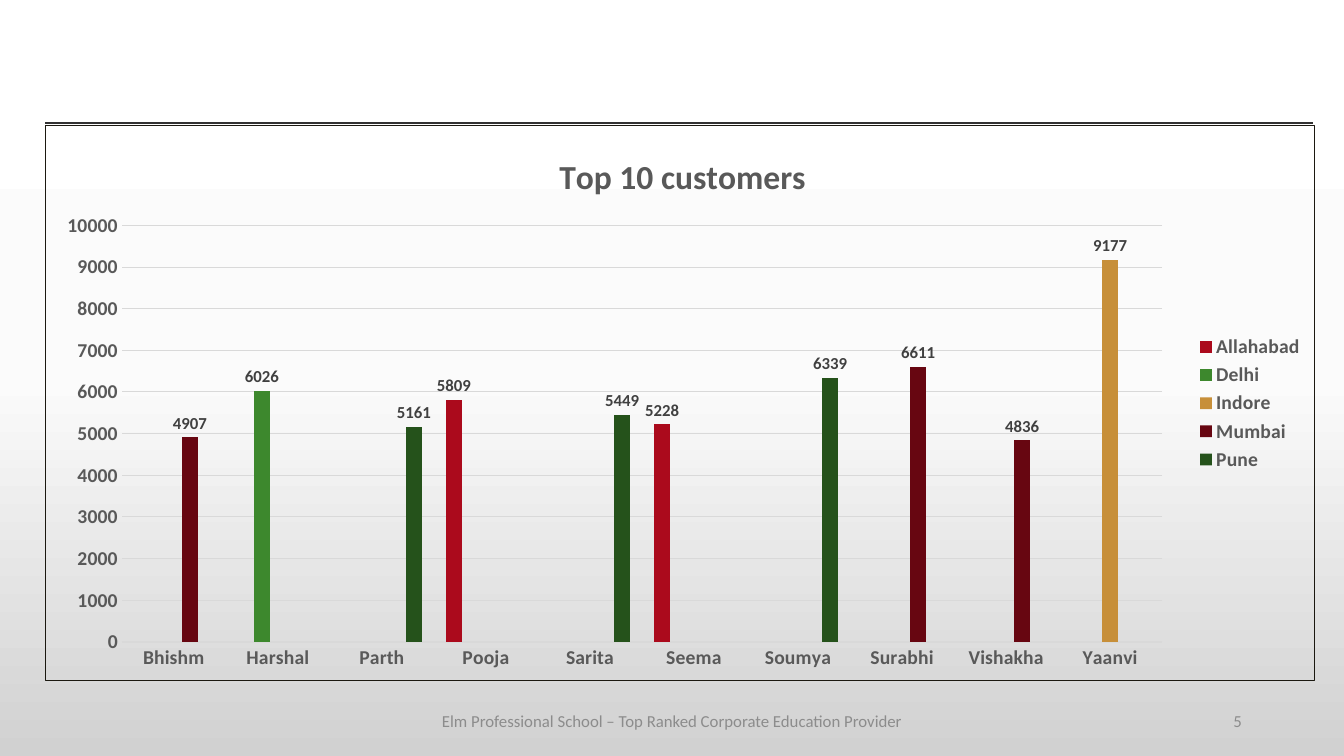
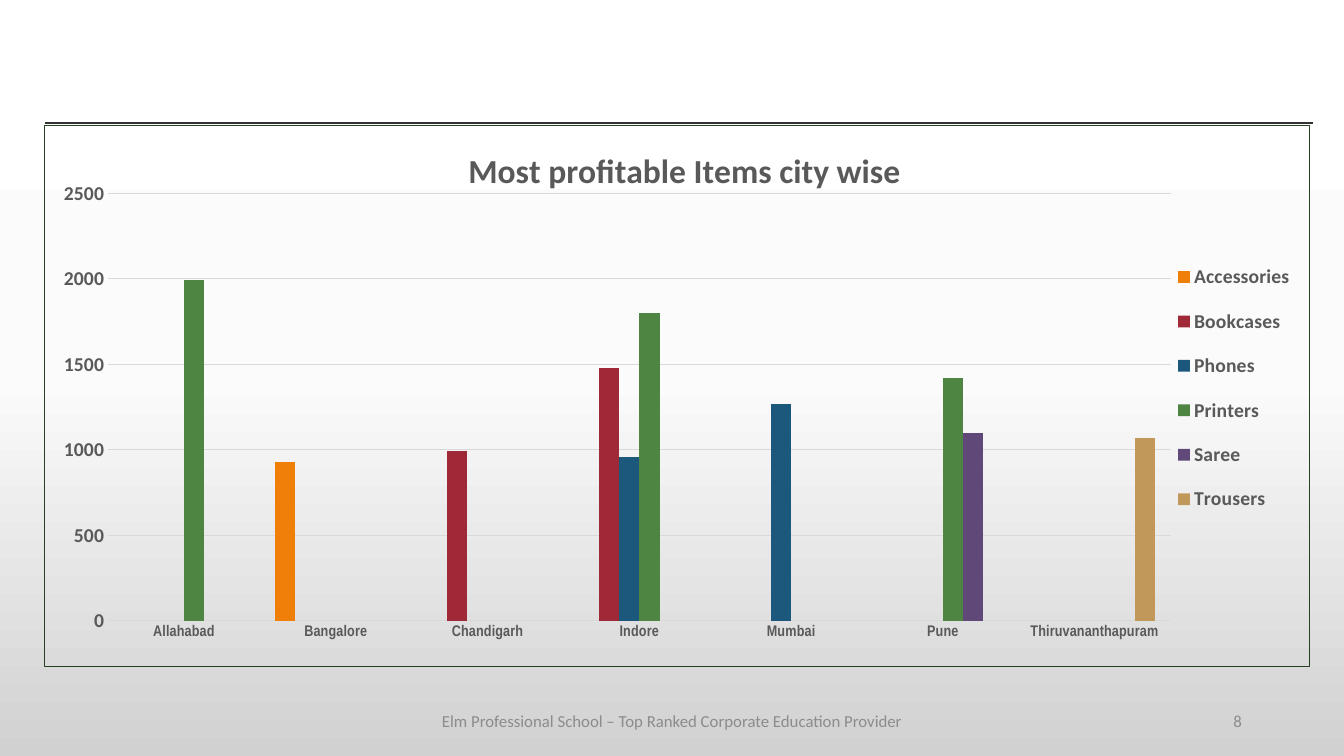
from copy import deepcopy

from lxml import etree
from pptx import Presentation
from pptx.chart.data import CategoryChartData as ChartData
from pptx.dml.color import RGBColor
from pptx.enum.chart import XL_CHART_TYPE as ChartType
from pptx.enum.chart import XL_LABEL_POSITION as LabelPos
from pptx.enum.chart import XL_LEGEND_POSITION as LegendPos
from pptx.enum.chart import XL_TICK_MARK as Tick
from pptx.enum.shapes import MSO_CONNECTOR as Connector
from pptx.enum.text import MSO_ANCHOR as Anchor
from pptx.enum.text import PP_ALIGN as Align
from pptx.oxml import parse_xml
from pptx.oxml.ns import nsdecls, qn
from pptx.util import Cm, Pt

# Shared style
BACKDROP = [(0, "FFFFFF"), (0.5, "FBFBFB"), (1, "D1D1D1")]
RULE, GRID = "323232", "D9D9D9"
FOOTER = "Elm Professional School – Top Ranked Corporate Education Provider"
FOOTER_FONT = {"name": "Calibri", "size": Pt(12), "color": "8C8C8C"}
BASE_FONT = {"name": "Calibri", "size": Pt(10), "color": "000000"}
AXIS_FONT = {"name": "Calibri", "size": Pt(14), "bold": True, "color": "595959"}
TITLE_FONT = {**AXIS_FONT, "size": Pt(24)}
LABEL_FONT = {**AXIS_FONT, "size": Pt(12), "color": "404040"}

# Content: each series is name, colour and values by category
CUSTOMERS = {
    "number": "5",
    "title": "Top 10 customers",
    "place": (1.14, 3.15, 32, 14.02),
    "border": "1B1810",
    "scale": (10000, 1000),
    "labels": True,
    "category_line": True,
    "category_font": AXIS_FONT,
    "title_layout": (0.4, 0.04),
    "plot_layout": (0.06, 0.18, 0.82, 0.75),
    "legend_layout": None,
    "categories": ["Bhishm", "Harshal", "Parth", "Pooja", "Sarita", "Seema",
                   "Soumya", "Surabhi", "Vishakha", "Yaanvi"],
    "series": [
        ("Allahabad", "AB0A1C", {"Pooja": 5809, "Seema": 5228}),
        ("Delhi", "3D882D", {"Harshal": 6026}),
        ("Indore", "C78F39", {"Yaanvi": 9177}),
        ("Mumbai", "670611", {"Bhishm": 4907, "Surabhi": 6611, "Vishakha": 4836}),
        ("Pune", "25521B", {"Parth": 5161, "Sarita": 5449, "Soumya": 6339}),
    ],
}
ITEMS = {
    "number": "8",
    "title": "Most profitable Items city wise",
    "place": (1.12, 3.15, 31.9, 13.67),
    "border": "274221",
    "scale": (2500, 500),
    "labels": False,
    "category_line": False,
    "category_font": {**AXIS_FONT, "name": "Arial Narrow", "size": Pt(11)},
    "title_layout": (0.33, 0.03),
    "plot_layout": (0.05, 0.125, 0.84, 0.79),
    "legend_layout": (0.89, 0.22, 0.1, 0.53),
    "categories": ["Allahabad", "Bangalore", "Chandigarh", "Indore", "Mumbai",
                   "Pune", "Thiruvananthapuram"],
    "series": [
        ("Accessories", "F07F09", {"Bangalore": 930}),
        ("Bookcases", "9F2936", {"Chandigarh": 990, "Indore": 1480}),
        ("Phones", "1B587C", {"Indore": 960, "Mumbai": 1270}),
        ("Printers", "4E8542", {"Allahabad": 1990, "Indore": 1800, "Pune": 1420}),
        ("Saree", "604878", {"Pune": 1100}),
        ("Trousers", "C19859", {"Thiruvananthapuram": 1070}),
    ],
}


def rgb(value):
    return RGBColor.from_string(value)


def apply_format(target, values):
    for name, value in values.items():
        if name == "color":
            target.color.rgb = rgb(value)
        else:
            setattr(target, name, value)


def set_backdrop(master):
    fill = master.background.fill
    fill.gradient()
    fill.gradient_angle = 270
    stops = master.element.find(".//" + qn("a:gsLst"))
    stops.append(deepcopy(stops[0]))
    for stop, (position, color) in zip(fill.gradient_stops, BACKDROP):
        stop.position = position
        stop.color.rgb = rgb(color)


def add_text(page, text, place, align):
    box = page.shapes.add_textbox(*map(Cm, place))
    apply_format(box.text_frame, {"word_wrap": True, "vertical_anchor": Anchor.MIDDLE})
    para = box.text_frame.paragraphs[0]
    para.alignment = align
    span = para.add_run()
    span.text = text
    apply_format(span.font, FOOTER_FONT)


def add_rule(page):
    rule = page.shapes.add_connector(
        Connector.STRAIGHT, Cm(1.14), Cm(3.1), Cm(33.1), Cm(3.1))
    apply_format(rule.line, {"color": RULE, "width": Pt(2)})
    etree.SubElement(rule.element.spPr, qn("a:effectLst"))


def set_layout(parent, index, place, inner=False):
    """Place a chart part by fractions of the chart area."""
    for old in parent.findall(qn("c:layout")):
        parent.remove(old)
    layout = etree.Element(qn("c:layout"))
    manual = etree.SubElement(layout, qn("c:manualLayout"))
    entries = [("layoutTarget", "inner")] if inner else []
    entries += [("xMode", "edge"), ("yMode", "edge"), *zip("xywh", place)]
    for tag, value in entries:
        etree.SubElement(manual, qn("c:" + tag)).set("val", str(value))
    parent.insert(index, layout)


def set_border(chart, color):
    border = parse_xml(
        f'<c:spPr {nsdecls("c", "a")}><a:noFill/><a:ln w="{Pt(0.75)}"><a:solidFill>'
        f'<a:srgbClr val="{color}"/></a:solidFill></a:ln></c:spPr>')
    chart.element.find(qn("c:chart")).addnext(border)


def style_title(chart, content):
    chart.has_title = True
    frame = chart.chart_title.text_frame
    frame.text = content["title"]
    apply_format(frame.paragraphs[0].runs[0].font, TITLE_FONT)
    chart.chart_title.include_in_layout = False
    set_layout(chart.element.find(".//" + qn("c:title")), 1, content["title_layout"])


def style_axes(chart, content):
    ticks = {"major_tick_mark": Tick.NONE, "minor_tick_mark": Tick.NONE}
    top, step = content["scale"]
    category, value = chart.category_axis, chart.value_axis
    apply_format(category, ticks)
    apply_format(value, {**ticks, "minimum_scale": 0, "maximum_scale": top,
                         "major_unit": step, "has_major_gridlines": True})
    apply_format(category.tick_labels.font, content["category_font"])
    apply_format(value.tick_labels.font, AXIS_FONT)
    apply_format(value.major_gridlines.format.line, {"color": GRID, "width": Pt(0.75)})
    value.format.line.fill.background()
    if content["category_line"]:
        apply_format(category.format.line, {"color": GRID, "width": Pt(1)})
    else:
        category.format.line.fill.background()


def style_legend(chart, place):
    chart.has_legend = True
    apply_format(chart.legend, {"position": LegendPos.RIGHT, "include_in_layout": False})
    apply_format(chart.legend.font, AXIS_FONT)
    if place:
        set_layout(chart.element.find(".//" + qn("c:legend")), 1, place)


def style_series(plot, content):
    apply_format(plot, {"gap_width": 150, "overlap": 0, "vary_by_categories": False})
    for series, (_, color, _) in zip(plot.series, content["series"]):
        series.invert_if_negative = False
        series.format.fill.solid()
        series.format.fill.fore_color.rgb = rgb(color)
        if content["labels"]:
            apply_format(series.data_labels,
                         {"show_value": True, "position": LabelPos.OUTSIDE_END})
            apply_format(series.data_labels.font, LABEL_FONT)


def add_column_chart(page, content):
    data = ChartData()
    data.categories = content["categories"]
    for name, _, values in content["series"]:
        data.add_series(name, [values.get(key) for key in content["categories"]])
    chart = page.shapes.add_chart(
        ChartType.COLUMN_CLUSTERED, *map(Cm, content["place"]), data).chart
    apply_format(chart.font, BASE_FONT)
    set_border(chart, content["border"])
    style_title(chart, content)
    style_axes(chart, content)
    style_legend(chart, content["legend_layout"])
    style_series(chart.plots[0], content)
    plot_area = chart.element.find(".//" + qn("c:plotArea"))
    set_layout(plot_area, 0, content["plot_layout"], inner=True)


def add_page(deck, content):
    page = deck.slides.add_slide(deck.slide_layouts[6])
    add_text(page, FOOTER, (10.82, 17.65, 12.24, 1.02), Align.CENTER)
    add_rule(page)
    add_text(page, content["number"], (23.93, 17.65, 7.62, 1.02), Align.RIGHT)
    add_column_chart(page, content)


def main():
    deck = Presentation()
    apply_format(deck, {"slide_width": Cm(33.87), "slide_height": Cm(19.05)})
    set_backdrop(deck.slide_master)
    for content in (CUSTOMERS, ITEMS):
        add_page(deck, content)
    deck.save("out.pptx")


if __name__ == "__main__":
    main()
